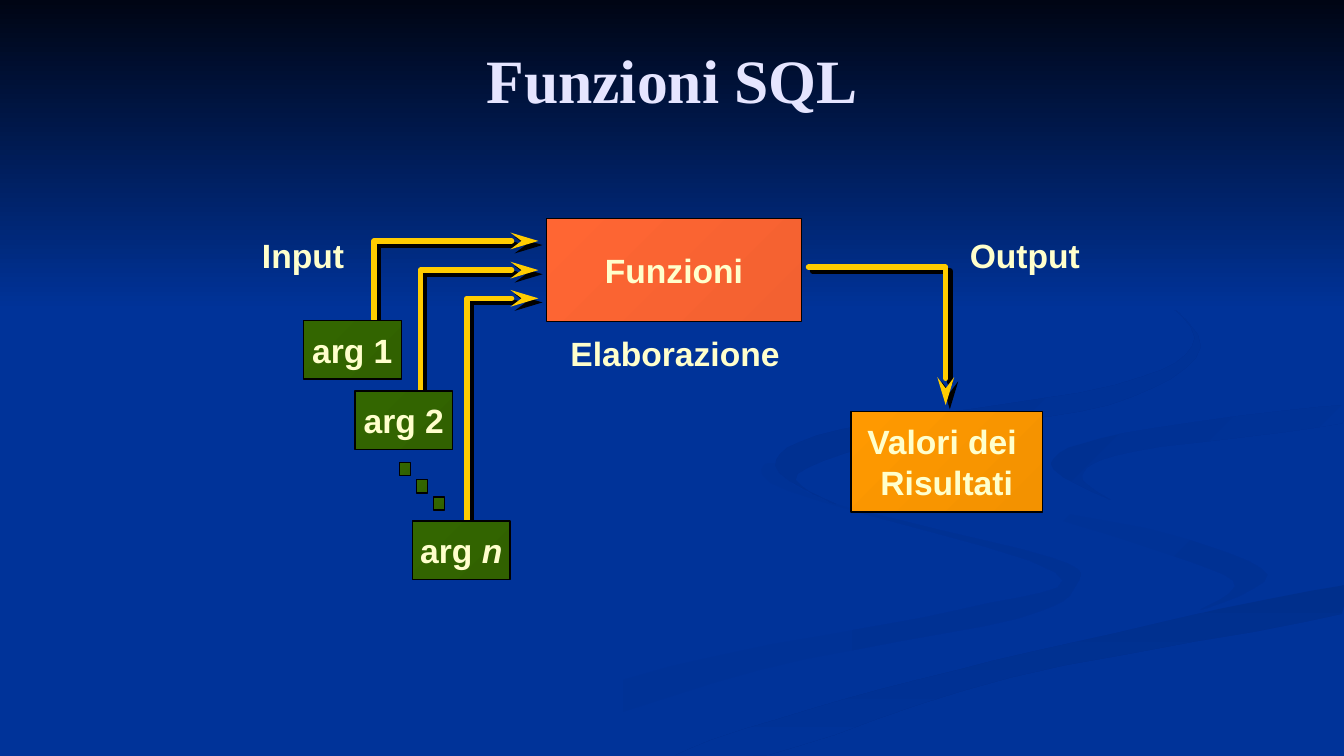
from lxml.etree import SubElement
from pptx import Presentation
from pptx.dml.color import RGBColor
from pptx.enum.shapes import MSO_SHAPE
from pptx.enum.text import MSO_ANCHOR, PP_ALIGN
from pptx.oxml import parse_xml
from pptx.oxml.ns import nsdecls, qn
from pptx.util import Inches, Pt

WIDTH, HEIGHT = 13.33, 7.5
NAVY, CREAM, YELLOW, BLACK = "003399", "FFFFCC", "FFCC00", "000000"
RED_FADE = ("FF6633", "F36131", 45)
GREEN_FADE = ("336600", "316100", 45)
ORANGE_FADE = ("FF9900", "F39200", 45)
SKY_FADE = ("000514", NAVY, 90)

TITLE = "Funzioni SQL"
# Text, left, top, width, alignment
LABELS = [
    ("Input", 2.5, 2.28, 1.02, PP_ALIGN.LEFT),
    ("Elaborazione", 5.27, 3.25, 2.85, PP_ALIGN.CENTER),
    ("Output", 9.52, 2.28, 1.3, PP_ALIGN.LEFT),
]
# Lines of text, left, top, width, height, fade
STAGES = [
    (["Funzioni"], 5.42, 2.17, 2.53, 1.02, RED_FADE),
    (["Valori dei ", "Risultati"], 8.44, 4.08, 1.9, 1, ORANGE_FADE),
]
# Upright part, italic part, left, top
ARGUMENTS = [("arg 1", "", 3.01, 3.18), ("arg 2", "", 3.52, 3.88), ("arg ", "n", 4.09, 5.17)]
ARG_SIZE = (0.97, 0.58)
DOTS_START, DOT_STEP, DOT_SIZE = (3.96, 4.59), 0.17, (0.11, 0.13)

# Input arrows rise from each argument, then turn right
INPUT_START, INPUT_STEP = (3.71, 2.39), (0.46, 0.285)
INPUT_END = 5.34
OUTPUT_ROUTE = [(8.02, 2.65), (9.38, 2.65), (9.38, 4.02)]

# Background ribbons: fade and the points that their curved outline passes
RIBBONS = [
    ((NAVY, "003193", 0), [
        (7.67, 4.59), (8.2, 4.97), (10.42, 5.53), (10.67, 5.81), (10.08, 6.14), (7.52, 6.65),
        (4.82, 7.49), (4, 7.49), (6.65, 6.61), (9.51, 6.05), (10.47, 5.68), (7.82, 4.87)]),
    ((NAVY, "003193", 45), [
        (9.65, 4.64), (10.1, 4.98), (11.6, 5.3), (12.57, 5.7), (11.91, 6.05), (12.23, 5.76),
        (11.17, 5.36), (9.85, 4.94)]),
    (("002F8C", NAVY, 90), [
        (6.71, 7.49), (7.62, 7.49), (10.03, 6.72), (13.31, 6.09), (13.31, 5.81),
        (10.62, 6.38), (8.4, 6.93)]),
    (("003091", NAVY, 45), [
        (10.42, 4.6), (11.01, 4.96), (10.73, 4.72), (11.24, 4.48), (13.31, 4.2),
        (13.31, 4.02), (11.13, 4.3)]),
    (("002F8E", NAVY, 45), [
        (9.11, 4.3), (10.99, 4.02), (11.91, 3.44), (11.24, 2.75), (11.85, 3.35),
        (11.06, 3.82), (8.34, 4.26), (7.69, 4.62), (8.29, 5), (7.91, 4.7)]),
]


def rgb(color):
    return RGBColor.from_string(color)


def inches(*lengths):
    return [Inches(length) for length in lengths]


def curved(points, steps=6):
    """Closed Catmull-Rom curve through the points, kept on the slide."""
    def blend(a, b, c, d, t):
        return b + t * (c - a + t * (2 * a - 5 * b + 4 * c - d + t * (3 * (b - c) + d - a))) / 2

    count = len(points)
    curve = []
    for index in range(count):
        near = [points[(index + shift) % count] for shift in (-1, 0, 1, 2)]
        for step in range(steps):
            x, y = (blend(*axis, step / steps) for axis in zip(*near))
            curve.append((min(x, WIDTH), min(y, HEIGHT)))
    return curve


def fade(shape, start, end, angle):
    """Fill with a two-colour gradient; the angle runs clockwise."""
    shape.fill.gradient()
    shape.fill.gradient_angle = -angle % 360
    for stop, color in zip(shape.fill.gradient_stops, (start, end)):
        stop.color.rgb = rgb(color)


def drop_shadow(points):
    return parse_xml(
        f'<a:effectLst {nsdecls("a")}><a:outerShdw dist="{Pt(points)}" dir="2700000" '
        f'algn="ctr" rotWithShape="0"><a:srgbClr val="{BLACK}"/></a:outerShdw></a:effectLst>')


def write(shape, lines, italic_end="", size=24, font="Arial", color=CREAM,
          align=PP_ALIGN.CENTER, anchor=MSO_ANCHOR.MIDDLE, wrap=False):
    frame = shape.text_frame
    frame.word_wrap, frame.vertical_anchor = wrap, anchor
    for index, line in enumerate(lines):
        paragraph = frame.add_paragraph() if index else frame.paragraphs[0]
        paragraph.alignment = align
        for words, italic in ((line, None), (italic_end, True)):
            if words:
                run = paragraph.add_run()
                run.text = words
                run.font.size, run.font.name = Pt(size), font
                run.font.bold, run.font.italic = True, italic
                run.font.color.rgb = rgb(color)


def outline(shapes, points, close):
    hundredths = [(round(x * 100), round(y * 100)) for x, y in points]
    builder = shapes.build_freeform(*hundredths[0], scale=Inches(0.01))
    builder.add_line_segments(hundredths[1:], close=close)
    shape = builder.convert_to_shape()
    shape.shadow.inherit = False
    return shape


def box(shapes, left, top, width, height, colors, border=True):
    shape = shapes.add_shape(MSO_SHAPE.RECTANGLE, *inches(left, top, width, height))
    shape.shadow.inherit = False
    fade(shape, *colors)
    if border:
        shape.line.color.rgb, shape.line.width = rgb(BLACK), Pt(1)
    else:
        shape.line.fill.background()
    return shape


def bent_arrow(shapes, route):
    arrow = outline(shapes, route, close=False)
    arrow.fill.background()
    arrow.line.color.rgb, arrow.line.width = rgb(YELLOW), Pt(4)
    properties = arrow.element.spPr
    stroke = properties.find(qn("a:ln"))
    stroke.set("cap", "rnd")
    SubElement(stroke, qn("a:round"))
    SubElement(stroke, qn("a:tailEnd"), type="stealth", w="med", len="lg")
    properties.replace(properties.find(qn("a:effectLst")), drop_shadow(4.2))


def main():
    deck = Presentation()
    deck.slide_width, deck.slide_height = inches(WIDTH, HEIGHT)
    slide = deck.slides.add_slide(deck.slide_layouts[5])
    slide.background.fill.solid()
    slide.background.fill.fore_color.rgb = rgb(NAVY)
    shapes = slide.shapes

    for colors, points in RIBBONS:
        ribbon = outline(shapes, curved(points), close=True)
        fade(ribbon, *colors)
        ribbon.line.fill.background()
    box(shapes, 0, 0, WIDTH, 3.08, SKY_FADE, border=False)

    title = shapes.title
    shapes.element.append(title.element)  # in front of the background
    title.left, title.top, title.width, title.height = inches(0.67, 0.3, 12, 1.25)
    title.text_frame.margin_top = Inches(0.12)
    write(title, [TITLE], size=44, font="Times New Roman", color="E5E5FF",
          anchor=MSO_ANCHOR.TOP, wrap=True)
    title.element.find(".//" + qn("a:rPr")).find(qn("a:solidFill")).addnext(drop_shadow(3))

    for index, (_, _, _, arg_top) in enumerate(ARGUMENTS):
        x, y = (start + index * step for start, step in zip(INPUT_START, INPUT_STEP))
        bent_arrow(shapes, [(x, arg_top + 0.06), (x, y), (INPUT_END, y)])
    bent_arrow(shapes, OUTPUT_ROUTE)

    for lines, left, top, width, height, colors in STAGES:
        write(box(shapes, left, top, width, height, colors), lines)
    for upright, italic, left, top in ARGUMENTS:
        write(box(shapes, left, top, *ARG_SIZE, GREEN_FADE), [upright], italic_end=italic)
    for index in range(3):
        left, top = (start + index * DOT_STEP for start in DOTS_START)
        box(shapes, left, top, *DOT_SIZE, GREEN_FADE)
    for words, left, top, width, align in LABELS:
        label = shapes.add_textbox(*inches(left, top, width, 0.51))
        write(label, [words], align=align, anchor=MSO_ANCHOR.TOP)

    deck.save("out.pptx")


if __name__ == "__main__":
    main()
